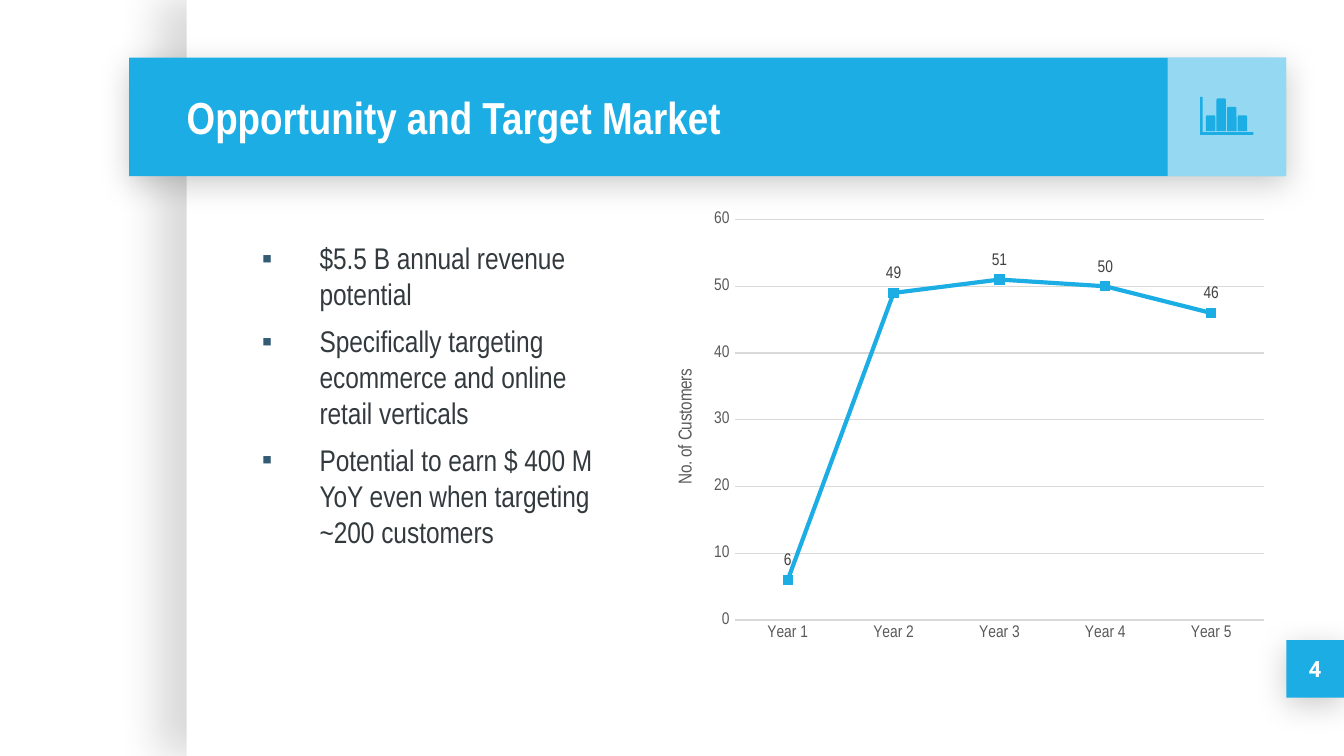
from lxml import etree
from pptx import Presentation
from pptx.chart.data import CategoryChartData as ChartData
from pptx.dml.color import RGBColor
from pptx.enum.chart import XL_CHART_TYPE as Kind, XL_LABEL_POSITION as Spot
from pptx.enum.chart import XL_TICK_MARK as Tick
from pptx.enum.shapes import MSO_SHAPE as Form
from pptx.enum.text import MSO_ANCHOR as Anchor, PP_ALIGN as Align
from pptx.oxml import parse_xml
from pptx.oxml.ns import qn
from pptx.util import Cm, Pt

BLUE, WHITE, GRID, GREY = "1CADE4", "FFFFFF", "D9D9D9", "595959"
NARROW = "Arial Narrow"
POINTS = [
    "$5.5 B annual revenue potential",
    "Specifically targeting ecommerce and online retail verticals",
    "Potential to earn $ 400 M YoY even when targeting ~200 customers",
]
YEARS = [f"Year {n}" for n in range(1, 6)]
CLIENTS = [6, 49, 51, 50, 46]


def tint(color, hue):
    color.rgb = RGBColor.from_string(hue)


def style(font, hue, **values):
    tint(font.color, hue)
    for name, value in values.items():
        setattr(font, name, value)


def node(parent, tag, **values):
    """Add a child element with the given attributes."""
    child = etree.SubElement(parent, qn(tag))
    for name, value in values.items():
        child.set(name, str(value))
    return child


def paint(shape, hue):
    shape.shadow.inherit = False
    shape.fill.solid()
    tint(shape.fill.fore_color, hue)
    shape.line.fill.background()
    return shape


def block(slide, box, hue, form=Form.RECTANGLE):
    return paint(slide.shapes.add_shape(form, *map(Cm, box)), hue)


def shade(shape, alpha, blur, gap, angle):
    """Give a shape a soft black outer shadow; alpha in percent."""
    effects = shape._element.spPr.find(qn("a:effectLst"))
    glow = node(effects, "a:outerShdw", blurRad=Pt(blur), dist=Pt(gap),
                dir=angle * 60000, algn="bl", rotWithShape=0)
    black = node(glow, "a:srgbClr", val="000000")
    node(black, "a:alpha", val=alpha * 1000)


def fade(shape, alpha):
    hue = shape._element.spPr.find(".//" + qn("a:srgbClr"))
    node(hue, "a:alpha", val=alpha * 1000)


def frame(shape, anchor):
    """Set margins, wrapping and anchor, and return the text frame."""
    text = shape.text_frame
    for side in ("left", "right", "top", "bottom"):
        setattr(text, f"margin_{side}", Cm(0.25))
    text.word_wrap = True
    text.vertical_anchor = anchor
    return text


def title(slide, words):
    box = slide.shapes.add_textbox(Cm(3.28), Cm(1.09), Cm(18.72), Cm(2.24))
    text = frame(box, Anchor.MIDDLE)
    text.text = words
    style(text.paragraphs[0].runs[0].font, WHITE, name=NARROW, size=Pt(24), bold=True)


def bullets(slide, items):
    box = slide.shapes.add_textbox(Cm(4.52), Cm(4.29), Cm(7.32), Cm(3.56))
    text = frame(box, Anchor.TOP)
    for i, item in enumerate(items):
        para = text.add_paragraph() if i else text.paragraphs[0]
        if i:
            para.space_before = Pt(6)
        props = para._p.get_or_add_pPr()
        props.set("marL", str(Cm(1.27)))
        props.set("indent", str(-Cm(1.09)))
        node(node(props, "a:buClr"), "a:srgbClr", val="335B74")
        node(props, "a:buFont", typeface="Arial")
        node(props, "a:buChar", char="▪")
        run = para.add_run()
        run.text = item
        style(run.font, "333A3E", name=NARROW, size=Pt(16))


def rule(line, hue, width):
    tint(line.color, hue)
    line.width = Pt(width)


def place(chart, **ratios):
    """Fix the inner plot area as fractions of the chart."""
    plot = chart._chartSpace.chart.plotArea
    for old in plot.findall(qn("c:layout")):
        plot.remove(old)
    layout = parse_xml('<c:layout xmlns:c="http://schemas.openxmlformats.org/'
                       'drawingml/2006/chart"/>')
    plot.insert(0, layout)
    manual = node(layout, "c:manualLayout")
    node(manual, "c:layoutTarget", val="inner")
    for name in ("xMode", "yMode"):
        node(manual, f"c:{name}", val="edge")
    for name, ratio in ratios.items():
        node(manual, f"c:{name}", val=ratio)


def graph(slide):
    data = ChartData()
    data.categories = YEARS
    data.add_series("Series 1", CLIENTS)
    box = map(Cm, (12.22, 3.81, 11.91, 8.51))
    chart = slide.shapes.add_chart(Kind.LINE, *box, data).chart
    chart.has_legend = chart.has_title = False
    style(chart.font, "000000", name="Arial", size=Pt(10))
    place(chart, x=0.14, y=0.04, w=0.84, h=0.89)

    years, count = chart.category_axis, chart.value_axis
    for axis in (years, count):
        axis.major_tick_mark = axis.minor_tick_mark = Tick.NONE
        style(axis.tick_labels.font, GREY, name=NARROW, size=Pt(9))
    rule(years.format.line, GRID, 0.75)
    count.format.line.fill.background()
    rule(count.major_gridlines.format.line, GRID, 0.75)
    count.minimum_scale, count.maximum_scale, count.major_unit = 0, 60, 10
    label = count.axis_title.text_frame
    label.text = "No. of Customers"
    style(label.paragraphs[0].runs[0].font, GREY, name=NARROW, size=Pt(10), bold=False)

    plot = chart.plots[0]
    plot.vary_by_categories = False
    line = plot.series[0]
    line.smooth = False
    line.marker.style = None
    rule(line.format.line, BLUE, 2.25)
    marks = line.data_labels
    marks.show_value = True
    marks.position = Spot.ABOVE
    style(marks.font, "404040", name=NARROW, size=Pt(9))


def icon(slide):
    """Draw a small bar chart inside the header tile."""
    left, top, right, base, thick = 22.68, 1.83, 23.69, 2.55, 0.05
    pen = slide.shapes.build_freeform(Cm(left), Cm(top), scale=1.0)
    turns = [(left + thick, top), (left + thick, base - thick),
             (right, base - thick), (right, base), (left, base)]
    pen.add_line_segments([(Cm(x), Cm(y)) for x, y in turns], close=True)
    paint(pen.convert_to_shape(), BLUE)
    for i, tall in enumerate((0.3, 0.62, 0.46, 0.3)):
        bar = (left + 0.11 + 0.2 * i, 2.48 - tall, 0.18, tall)
        block(slide, bar, BLUE, Form.ROUND_2_SAME_RECTANGLE)


def page(slide, number):
    box = block(slide, (24.31, 12.1, 1.09, 1.09), BLUE)
    shade(box, 20, 16.9, 3.8, 90)
    text = frame(box, Anchor.MIDDLE)
    text.text = number
    para = text.paragraphs[0]
    para.alignment = Align.CENTER
    style(para.runs[0].font, WHITE, name="Roboto", size=Pt(12), bold=True)


def main():
    deck = Presentation()
    deck.slide_width, deck.slide_height = Cm(25.4), Cm(14.29)
    slide = deck.slides.add_slide(deck.slide_layouts[6])
    shade(block(slide, (3.53, 0, 21.87, 14.29), WHITE), 15, 22.5, 15, 180)
    shade(block(slide, (2.44, 1.09, 21.87, 2.24), BLUE), 20, 16.9, 3.8, 90)
    fade(block(slide, (22.07, 1.09, 2.24, 2.24), WHITE), 53)
    title(slide, "Opportunity and Target Market")
    bullets(slide, POINTS)
    page(slide, "4")
    graph(slide)
    icon(slide)
    deck.save("out.pptx")


if __name__ == "__main__":
    main()
